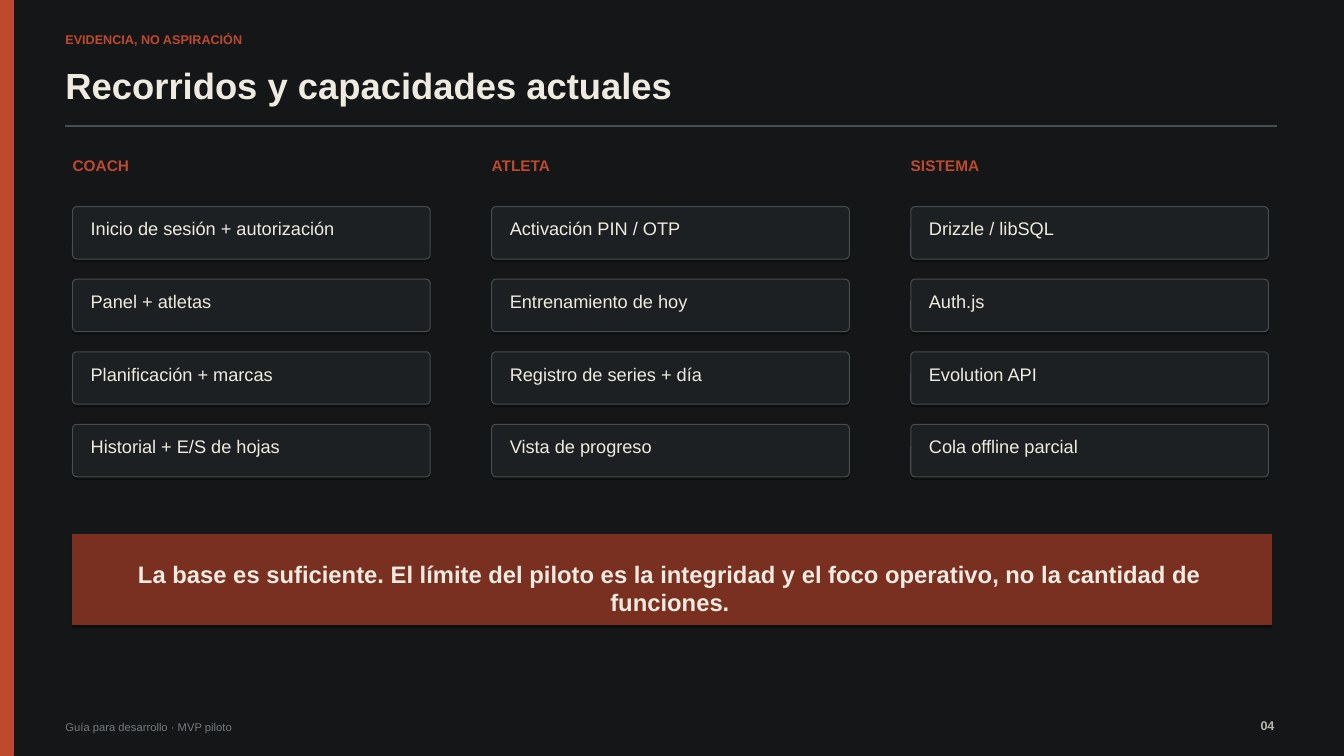
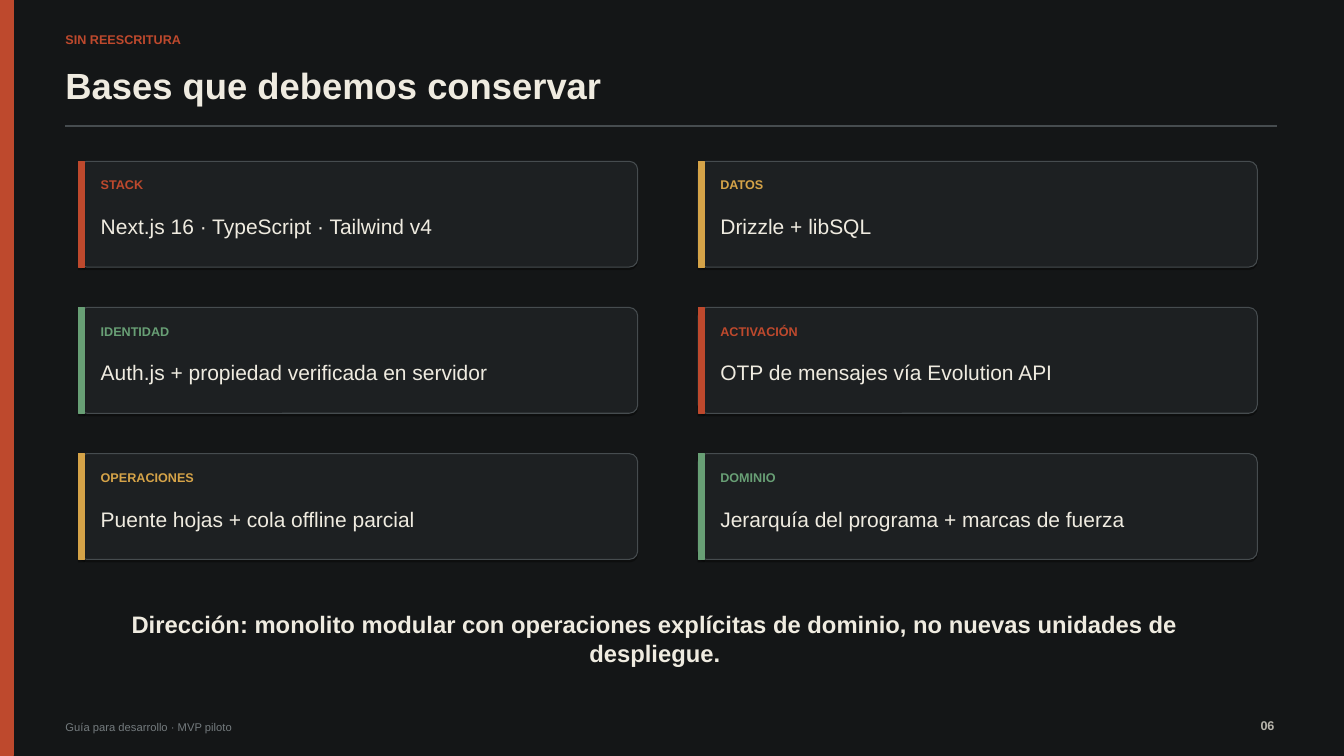
from dataclasses import dataclass
from itertools import cycle

from lxml import etree
from pptx import Presentation
from pptx.dml.color import RGBColor
from pptx.enum.shapes import MSO_CONNECTOR, MSO_SHAPE
from pptx.enum.text import MSO_ANCHOR, MSO_AUTO_SIZE, PP_ALIGN
from pptx.oxml.ns import qn
from pptx.util import Emu, Pt

RECT, ROUND = MSO_SHAPE.RECTANGLE, MSO_SHAPE.ROUNDED_RECTANGLE
STRAIGHT = MSO_CONNECTOR.STRAIGHT
LEFT, MID, RIGHT = PP_ALIGN.LEFT, PP_ALIGN.CENTER, PP_ALIGN.RIGHT
TOP = MSO_ANCHOR.TOP
GROW, FIXED = MSO_AUTO_SIZE.SHAPE_TO_FIT_TEXT, MSO_AUTO_SIZE.NONE
TITLE_ONLY = 5
SCALE = 9144  # EMU per px, at 100 px to the inch
WIDE, HIGH = 1334, 750


@dataclass(frozen=True)
class Theme:
    font: str = "Arial"
    back: str = "141617"
    card: str = "1D2022"
    edge: str = "464C4F"
    ink: str = "EFEBE0"
    dim: str = "B8B5AC"
    mute: str = "747B7E"
    red: str = "BE492D"
    gold: str = "D5A348"
    green: str = "689F75"
    rust: str = "793021"
    title: int = 26
    claim: int = 17
    fact: int = 15
    item: int = 13
    head: int = 11
    label: int = 9
    foot: int = 8


T = Theme()
FOOTER = "Guía para desarrollo · MVP piloto"

PATHS = {
    "COACH": ["Inicio de sesión + autorización", "Panel + atletas",
              "Planificación + marcas", "Historial + E/S de hojas"],
    "ATLETA": ["Activación PIN / OTP", "Entrenamiento de hoy",
               "Registro de series + día", "Vista de progreso"],
    "SISTEMA": ["Drizzle / libSQL", "Auth.js", "Evolution API",
                "Cola offline parcial"],
}
CLAIM = ("La base es suficiente. El límite del piloto es la integridad y el "
         "foco operativo, no la cantidad de funciones.")

BASES = [
    ("STACK", "Next.js 16 · TypeScript · Tailwind v4"),
    ("DATOS", "Drizzle + libSQL"),
    ("IDENTIDAD", "Auth.js + propiedad verificada en servidor"),
    ("ACTIVACIÓN", "OTP de mensajes vía Evolution API"),
    ("OPERACIONES", "Puente hojas + cola offline parcial"),
    ("DOMINIO", "Jerarquía del programa + marcas de fuerza"),
]
COURSE = ("Dirección: monolito modular con operaciones explícitas de dominio, "
          "no nuevas unidades de despliegue.")


def px(*sizes):
    return [Emu(size * SCALE) for size in sizes]


def rgb(color):
    return RGBColor.from_string(color)


def write(shape, text, size, color, bold=False, align=LEFT, fit=GROW):
    """Fill a text box or placeholder with one paragraph, without insets."""
    frame = shape.text_frame
    frame.margin_left = frame.margin_right = 0
    frame.margin_top = frame.margin_bottom = 0
    frame.word_wrap = True
    frame.auto_size = fit
    frame.vertical_anchor = TOP
    frame.text = text
    para = frame.paragraphs[0]
    para.alignment = align
    font = para.font
    font.name, font.size, font.bold = T.font, Pt(size), bold
    font.color.rgb = rgb(color)


def label(slide, box, text, size, color, bold=False, align=LEFT):
    write(slide.shapes.add_textbox(*px(*box)), text, size, color, bold, align)


def drop(shape):
    """Give the shape a hard shadow just below it."""
    shape.shadow.inherit = False
    effects = shape._element.spPr.find(qn("a:effectLst"))
    shade = etree.SubElement(effects, qn("a:outerShdw"), blurRad="0",
                             dist=str(Pt(1.8)), dir="5400000",
                             rotWithShape="0")
    black = etree.SubElement(shade, qn("a:srgbClr"), val="000000")
    etree.SubElement(black, qn("a:alpha"), val="35000")


def block(slide, box, fill, edge=None, kind=RECT):
    shape = slide.shapes.add_shape(kind, *px(*box))
    shape.fill.solid()
    shape.fill.fore_color.rgb = rgb(fill)
    shape.line.color.rgb = rgb(edge or fill)
    shape.line.width = Pt(0.75)
    drop(shape)
    return shape


def panel(slide, box):
    block(slide, box, T.card, T.edge, ROUND).adjustments[0] = 0.08


def rule(slide, x, y, w):
    line = slide.shapes.add_connector(STRAIGHT, *px(x, y, x + w, y))
    line.line.color.rgb = rgb(T.edge)
    line.line.width = Pt(1)
    etree.SubElement(line._element.spPr, qn("a:effectLst"))


def page(deck, number, kicker, title):
    """Add a slide with the shared band, heading, rule and footer."""
    slide = deck.slides.add_slide(deck.slide_layouts[TITLE_ONLY])
    block(slide, (0, 0, 13, HIGH), T.red)
    label(slide, (65, 32, 750, 15), kicker, T.label, T.red, True)
    head = slide.shapes.title
    head.left, head.top, head.width, head.height = px(65, 63, 1190, 43)
    write(head, title, T.title, T.ink, True, fit=FIXED)
    rule(slide, 65, 125, 1203)
    label(slide, (65, 715, 350, 13), FOOTER, T.foot, T.mute)
    label(slide, (1210, 712, 55, 15), number, T.label, T.dim, True, RIGHT)
    return slide


def column(slide, box, head, items):
    x, y, w, h = box
    tall, gap = 52, 20
    label(slide, (x, y, w - 15, 18), head, T.head, T.red, True)
    for row, item in enumerate(items):
        top = y + 50 + row * (tall + gap)
        panel(slide, (x, top, w, tall))
        label(slide, (x + 18, top + 11, w - 40, 22), item, T.item, T.ink)


def banner(slide, box, text):
    x, y, w, h = box
    block(slide, box, T.rust)
    label(slide, (x + 28, y + 25, w - 60, 57), text, T.claim, T.ink, True, MID)


def card(slide, box, tint, head, fact):
    x, y, w, h = box
    panel(slide, box)
    block(slide, (x, y, 6, h), tint)
    label(slide, (x + 22, y + 16, w - 38, 15), head, T.label, tint, True)
    label(slide, (x + 22, y + 52, w - 40, 25), fact, T.fact, T.ink)


def paths(deck):
    slide = page(deck, "04", "EVIDENCIA, NO ASPIRACIÓN",
                 "Recorridos y capacidades actuales")
    wide, gap = 355, 61
    for col, (head, items) in enumerate(PATHS.items()):
        column(slide, (72 + col * (wide + gap), 155, wide, 318), head, items)
    banner(slide, (72, 530, 1190, 90), CLAIM)


def bases(deck):
    slide = page(deck, "06", "SIN REESCRITURA", "Bases que debemos conservar")
    wide, tall, side, gap = 555, 105, 60, 40
    tints = cycle((T.red, T.gold, T.green))
    for spot, (tint, (head, fact)) in enumerate(zip(tints, BASES)):
        row, col = divmod(spot, 2)
        box = (78 + col * (wide + side), 160 + row * (tall + gap), wide, tall)
        card(slide, box, tint, head, fact)
    label(slide, (80, 605, 1140, 57), COURSE, T.claim, T.ink, True, MID)


def main():
    deck = Presentation()
    deck.slide_width, deck.slide_height = px(WIDE, HIGH)
    fill = deck.slide_master.background.fill
    fill.solid()
    fill.fore_color.rgb = rgb(T.back)
    paths(deck)
    bases(deck)
    deck.save("out.pptx")


if __name__ == "__main__":
    main()
